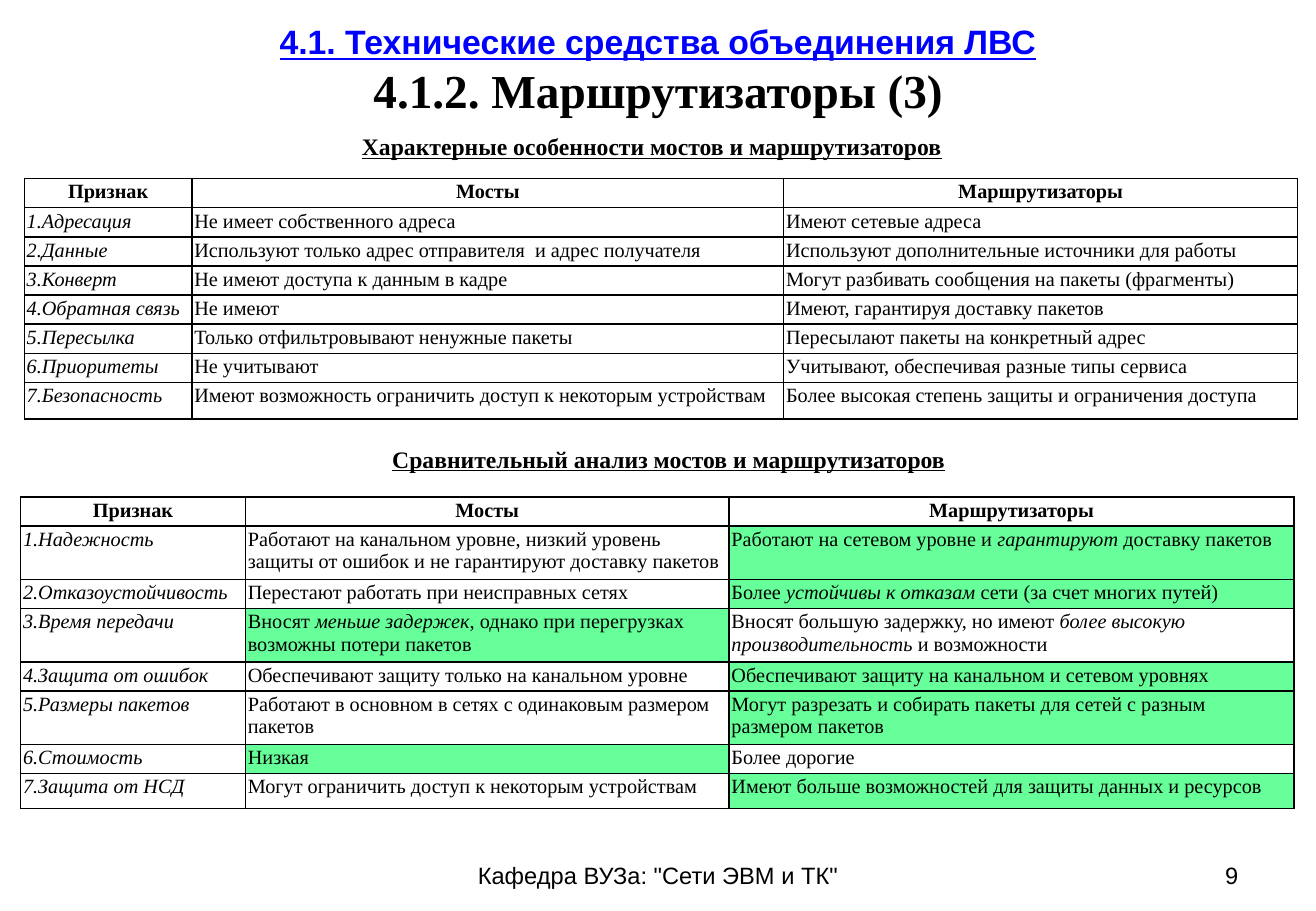
from lxml import etree
from pptx import Presentation
from pptx import util as u
from pptx.dml.color import RGBColor
from pptx.enum import text
from pptx.oxml.ns import qn

COLORS = {"ink": "000000", "chapter": "0000FF", "advantage": "66FF99"}
SERIF, SANS = "Times New Roman", "Arial"
HEADER = ["Признак", "Мосты", "Маршрутизаторы"]

# Asterisks enclose italic words; a leading "+" marks the better option.
FEATURES = [
    HEADER,
    ["*1.Адресация*", "Не имеет собственного адреса", "Имеют сетевые адреса"],
    ["*2.Данные*", "Используют только адрес отправителя  и адрес получателя",
     "Используют дополнительные источники для работы"],
    ["*3.Конверт*", "Не имеют доступа к данным в кадре",
     "Могут разбивать сообщения на пакеты (фрагменты)"],
    ["*4.Обратная связь*", "Не имеют", "Имеют, гарантируя доставку пакетов"],
    ["*5.Пересылка*", "Только отфильтровывают ненужные пакеты",
     "Пересылают пакеты на конкретный адрес"],
    ["*6.Приоритеты*", "Не учитывают", "Учитывают, обеспечивая разные типы сервиса"],
    ["*7.Безопасность*", "Имеют возможность ограничить доступ к некоторым устройствам",
     "Более высокая степень защиты и ограничения доступа"],
]
COMPARISON = [
    HEADER,
    ["*1.Надежность*",
     "Работают на канальном уровне, низкий уровень защиты от ошибок "
     "и не гарантируют доставку пакетов",
     "+Работают на сетевом уровне и *гарантируют *доставку пакетов"],
    ["*2.Отказоустойчивость*", "Перестают работать при неисправных сетях",
     "+Более *устойчивы к отказам *сети (за счет многих путей)"],
    ["*3.Время передачи*",
     "+Вносят *меньше задержек*, однако при перегрузках возможны потери пакетов",
     "Вносят большую задержку, но имеют *более высокую производительность* и возможности"],
    ["*4.Защита от ошибок*", "Обеспечивают защиту только на канальном уровне",
     "+Обеспечивают защиту на канальном и сетевом уровнях"],
    ["*5.Размеры пакетов*", "Работают в основном в сетях с одинаковым размером пакетов",
     "+Могут разрезать и собирать пакеты для сетей с разным размером пакетов"],
    ["*6.Стоимость*", "+Низкая", "Более дорогие"],
    ["*7.Защита от НСД*", "Могут ограничить доступ к некоторым устройствам",
     "+Имеют больше возможностей для защиты данных и ресурсов"],
]


def set_font(font, name, size, color="ink", bold=False, underline=False):
    """Apply typeface, size, colour and emphasis to a font."""
    font.name, font.size = name, u.Pt(size)
    font.color.rgb = RGBColor.from_string(COLORS[color])
    font.bold, font.underline = bold, underline


def add_border(cell):
    """Draw a thin solid line on all four sides of a table cell."""
    properties = cell._tc.get_or_add_tcPr()
    for position, side in enumerate(("lnL", "lnR", "lnT", "lnB")):
        line = etree.Element(qn(f"a:{side}"), w=str(u.Pt(1)))
        fill = etree.SubElement(line, qn("a:solidFill"))
        etree.SubElement(fill, qn("a:srgbClr"), val=COLORS["ink"])
        properties.insert(position, line)


prs = Presentation()
prs.slide_width, prs.slide_height = u.Inches(10.83), u.Inches(7.5)
slide = prs.slides.add_slide(prs.slide_layouts[5])

# Title: chapter line above section line
title = slide.shapes.title
title.left, title.top = u.Inches(0.54), u.Inches(0.01)
title.width, title.height = u.Inches(9.75), u.Inches(1.13)
title.text_frame.auto_size = text.MSO_AUTO_SIZE.NONE
title.text_frame.vertical_anchor = text.MSO_ANCHOR.MIDDLE
heading = title.text_frame.paragraphs[0]
heading.alignment = text.PP_ALIGN.CENTER
chapter = heading.add_run()
chapter.text = "4.1. Технические средства объединения ЛВС"
set_font(chapter.font, SANS, 20, "chapter", bold=True, underline=True)
heading.add_line_break()
etree.SubElement(heading._p.find(qn("a:br")), qn("a:rPr"), sz="2000")
section = heading.add_run()
section.text = "4.1.2. Маршрутизаторы (3)"
set_font(section.font, SERIF, 28, bold=True)

# Table captions and footer
LEFT, CENTER, RIGHT = text.PP_ALIGN.LEFT, text.PP_ALIGN.CENTER, text.PP_ALIGN.RIGHT
for words, left, top, width, align, face, is_caption in [
    ("Характерные особенности мостов и маршрутизаторов", 2.88, 1.04, 5.12, LEFT, SERIF, True),
    ("Сравнительный анализ мостов и маршрутизаторов", 3.13, 3.61, 4.87, LEFT, SERIF, True),
    ('Кафедра ВУЗа: "Сети ЭВМ и ТК"', 3.7, 7.04, 3.43, CENTER, SANS, False),
    ("9", 7.76, 7.04, 2.53, RIGHT, SANS, False),
]:
    label = slide.shapes.add_textbox(
        u.Inches(left), u.Inches(top), u.Inches(width), u.Inches(0.33))
    label.text_frame.word_wrap = True
    line = label.text_frame.paragraphs[0]
    line.text, line.alignment = words, align
    set_font(line.font, face, 14, bold=is_caption, underline=is_caption)

# Both tables
for rows, left, top, widths, heights in [
    (FEATURES, 0.2, 1.47, [1.38, 4.87, 4.23], [0.23] * 7 + [0.3]),
    (COMPARISON, 0.17, 4.09, [1.85, 3.98, 4.65], [0.24, 0.44] * 3 + [0.24, 0.29]),
]:
    table = slide.shapes.add_table(
        len(rows), len(widths), u.Inches(left), u.Inches(top),
        u.Inches(sum(widths)), u.Inches(sum(heights))).table
    table.first_row = table.horz_banding = False
    for column, width in zip(table.columns, widths):
        column.width = u.Inches(width)
    for row, height, entries in zip(table.rows, heights, rows):
        row.height = u.Inches(height)
        is_header = entries is HEADER
        for cell, entry in zip(row.cells, entries):
            cell.margin_left = cell.margin_right = u.Inches(0.02)
            cell.margin_top = cell.margin_bottom = u.Inches(0.02)
            if entry.startswith("+"):
                cell.fill.solid()
                cell.fill.fore_color.rgb = RGBColor.from_string(COLORS["advantage"])
            else:
                cell.fill.background()
            add_border(cell)
            statement = cell.text_frame.paragraphs[0]
            statement.alignment = CENTER if is_header else LEFT
            set_font(statement.font, SERIF, 12, bold=is_header)
            for index, words in enumerate(entry.lstrip("+").split("*")):
                if words:
                    part = statement.add_run()
                    part.text = words
                    part.font.italic = index % 2 == 1

prs.save("out.pptx")
